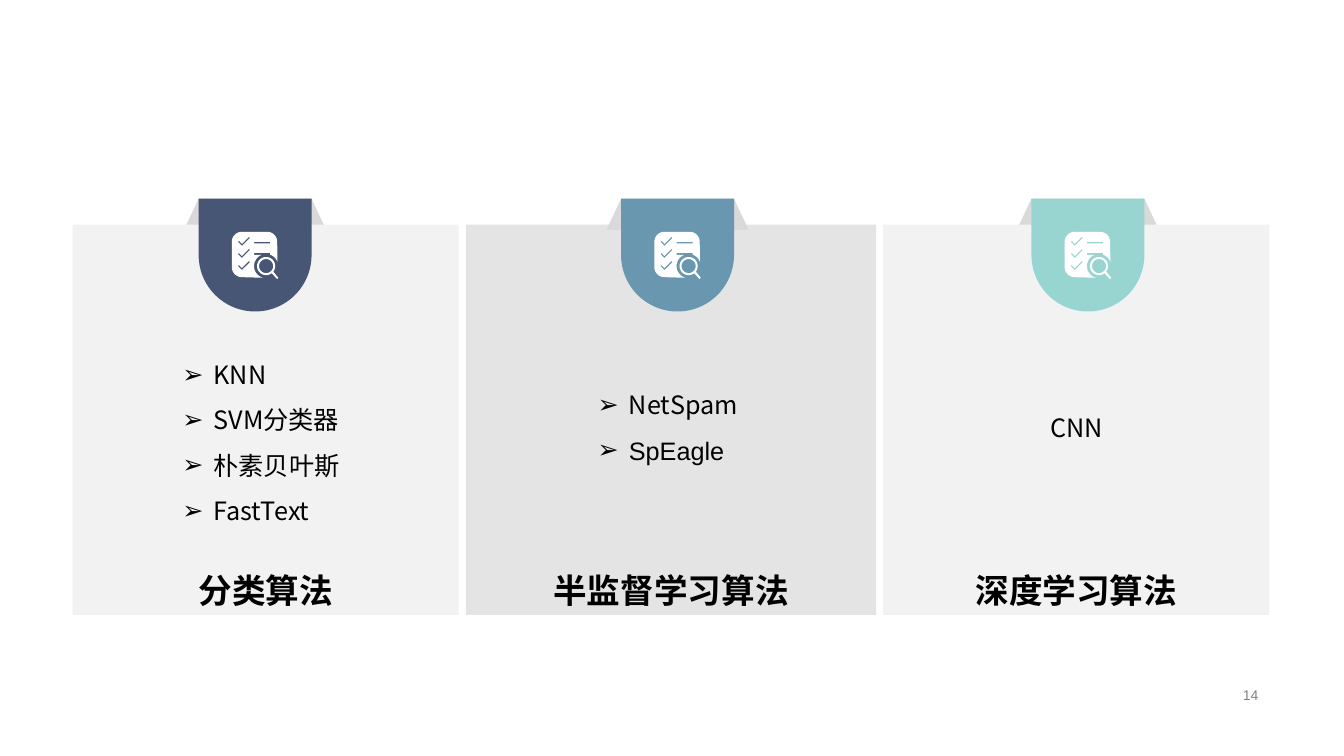
from math import cos, radians, sin

from lxml.etree import SubElement
from pptx import Presentation
from pptx.dml.color import RGBColor
from pptx.enum.shapes import MSO_SHAPE as Shape
from pptx.enum.text import MSO_ANCHOR as Anchor, PP_ALIGN as Align
from pptx.oxml.ns import qn
from pptx.util import Inches, Pt

BLACK = RGBColor(0, 0, 0)
WHITE = RGBColor(255, 255, 255)
GREY = RGBColor(0x80, 0x80, 0x80)
LIGHT = RGBColor(0xF2, 0xF2, 0xF2)
SILVER = RGBColor(0xD9, 0xD9, 0xD9)
NAVY = RGBColor(0x46, 0x56, 0x74)
BLUE = RGBColor(0x69, 0x97, 0xAF)
MINT = RGBColor(0x99, 0xD5, 0xD0)
SANS, CJK = "Arial", "Noto Sans CJK SC"

PANELS = [
    dict(title="分类算法", width=3.83, fill=LIGHT, opacity=100,
         badge=NAVY, badge_left=1.97, tab_in_front=False,
         items=[("KNN", CJK), ("SVM分类器", CJK), ("朴素贝叶斯", CJK), ("FastText", CJK)],
         items_box=(1.71, 3.21, 1.86, 2.21), bullet="➢"),
    dict(title="半监督学习算法", width=4.07, fill=SILVER, opacity=70,
         badge=BLUE, badge_left=6.16, tab_in_front=True,
         items=[("NetSpam", CJK), ("SpEagle", SANS)],
         items_box=(5.83, 3.77, 1.66, 0.79), bullet="➢"),
    dict(title="深度学习算法", width=3.83, fill=LIGHT, opacity=100,
         badge=MINT, badge_left=10.23, tab_in_front=False,
         items=[("CNN", CJK)],
         items_box=(10.28, 4.05, 0.8, 0.24), bullet=None),
]
PAGE_NUMBER = "14"
PANELS_LEFT, PANELS_TOP, PANELS_HEIGHT, GAP = 0.72, 2.23, 3.87, 0.07
BADGE_TOP, BADGE_SIZE = 1.97, 1.12
TAB_WIDTH, TAB_HEIGHT = 1.41, 0.31
ICON_OFFSET = 0.33
CHECK = [(0.17, 0.05), (0.1, 0.12), (0.07, 0.09), (0.06, 0.1), (0.1, 0.14), (0.18, 0.06)]
CHECK_STEP = 0.12
LENS = 0.34


def arc(x, y, radius, start, end, steps=16):
    angles = [radians(start + (end - start) * i / steps) for i in range(steps + 1)]
    return [(x + radius * cos(a), y + radius * sin(a)) for a in angles]


def icon_outlines():
    card = (arc(0.1, 0.1, 0.1, 180, 270) + arc(0.35, 0.1, 0.1, -90, 0)
            + arc(LENS, LENS, 0.12, -20, -70)
            + [(0.38, 0.21), (0.22, 0.21), (0.22, 0.23), (0.3, 0.23)]
            + arc(LENS, LENS, 0.12, -110, -255) + arc(0.1, 0.35, 0.1, 90, 180))
    dash = [(0.22, 0.1), (0.38, 0.1), (0.38, 0.115), (0.22, 0.115)]
    checks = [[(x, y + row * CHECK_STEP) for x, y in CHECK] for row in range(3)]
    magnifier = arc(LENS, LENS, 0.09, 52, 398, 32) + [(0.46, 0.455), (0.45, 0.47)]
    glass = arc(LENS, LENS, 0.07, 0, 360, 32)
    return [card, dash, *checks, magnifier, glass]


def paint(shape, color, opacity=100):
    shape.shadow.inherit = False
    shape.fill.solid()
    shape.fill.fore_color.rgb = color
    shape.line.fill.background()
    if opacity < 100:
        tint = shape.fill._xPr.find(qn("a:solidFill"))[0]
        SubElement(tint, qn("a:alpha"), val=str(opacity * 1000))


def write(shape, lines, size=18, color=BLACK, bold=False, align=Align.LEFT,
          anchor=Anchor.MIDDLE, spacing=None, bullet=None):
    frame = shape.text_frame
    frame.word_wrap = True
    frame.vertical_anchor = anchor
    for number, (text, font_name) in enumerate(lines):
        paragraph = frame.add_paragraph() if number else frame.paragraphs[0]
        paragraph.alignment = align
        if spacing:
            paragraph.line_spacing = spacing
        if bullet:
            props = paragraph._p.get_or_add_pPr()
            props.set("marL", str(Inches(0.31)))
            props.set("indent", str(-Inches(0.31)))
            SubElement(props, qn("a:buFont"), typeface=SANS)
            SubElement(props, qn("a:buChar"), char=bullet)
        run = paragraph.add_run()
        run.text = text
        font = run.font
        font.name, font.size, font.bold = font_name, Pt(size), bold
        font.color.rgb = color
        SubElement(run._r.get_or_add_rPr(), qn("a:ea"), typeface=CJK)


def add_block(shapes, kind, box, color, opacity=100):
    block = shapes.add_shape(kind, *map(Inches, box))
    paint(block, color, opacity)
    return block


def add_tab(shapes, panel):
    left = panel["badge_left"] - (TAB_WIDTH - BADGE_SIZE) / 2
    tab = add_block(shapes, Shape.TRAPEZOID, (left, BADGE_TOP, TAB_WIDTH, TAB_HEIGHT), SILVER)
    tab.adjustments[0] = 0.47


def add_badge(shapes, panel):
    left = panel["badge_left"]
    badge = add_block(shapes, Shape.ROUND_2_SAME_RECTANGLE,
                      (left, BADGE_TOP, BADGE_SIZE, BADGE_SIZE), panel["badge"])
    badge.adjustments[0] = 0
    badge.adjustments[1] = 0.5
    builder = shapes.build_freeform()
    for outline in icon_outlines():
        points = [(Inches(left + ICON_OFFSET + x), Inches(BADGE_TOP + ICON_OFFSET + y))
                  for x, y in outline]
        builder.move_to(*points[0])
        builder.add_line_segments(points[1:], close=True)
    paint(builder.convert_to_shape(), WHITE)


def main():
    deck = Presentation()
    deck.slide_width, deck.slide_height = Inches(13.33), Inches(7.5)
    shapes = deck.slides.add_slide(deck.slide_layouts[6]).shapes

    page = shapes.add_textbox(*map(Inches, (9.42, 6.78, 3.16, 0.23)))
    write(page, [(PAGE_NUMBER, SANS)], size=10, color=GREY, align=Align.RIGHT)

    left = PANELS_LEFT
    for panel in PANELS:
        if not panel["tab_in_front"]:
            add_tab(shapes, panel)
        card = add_block(shapes, Shape.RECTANGLE,
                         (left, PANELS_TOP, panel["width"], PANELS_HEIGHT),
                         panel["fill"], panel["opacity"])
        write(card, [(panel["title"], SANS)], size=24, bold=True,
              align=Align.CENTER, anchor=Anchor.BOTTOM)
        if panel["tab_in_front"]:
            add_tab(shapes, panel)
        add_badge(shapes, panel)
        items = shapes.add_textbox(*map(Inches, panel["items_box"]))
        write(items, panel["items"], spacing=1.5, bullet=panel["bullet"],
              align=Align.LEFT if panel["bullet"] else Align.CENTER)
        left += panel["width"] + GAP

    deck.save("out.pptx")


if __name__ == "__main__":
    main()
